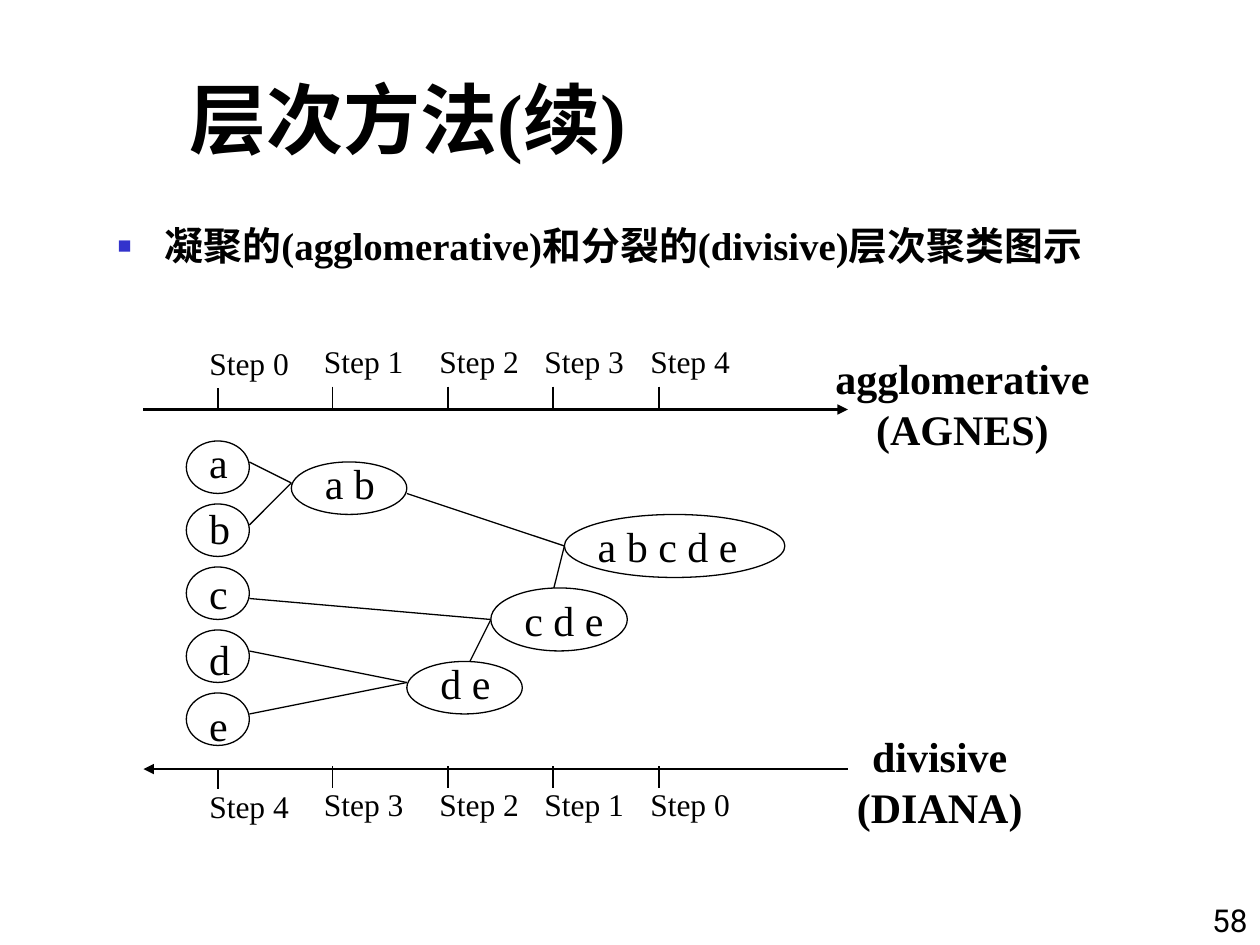
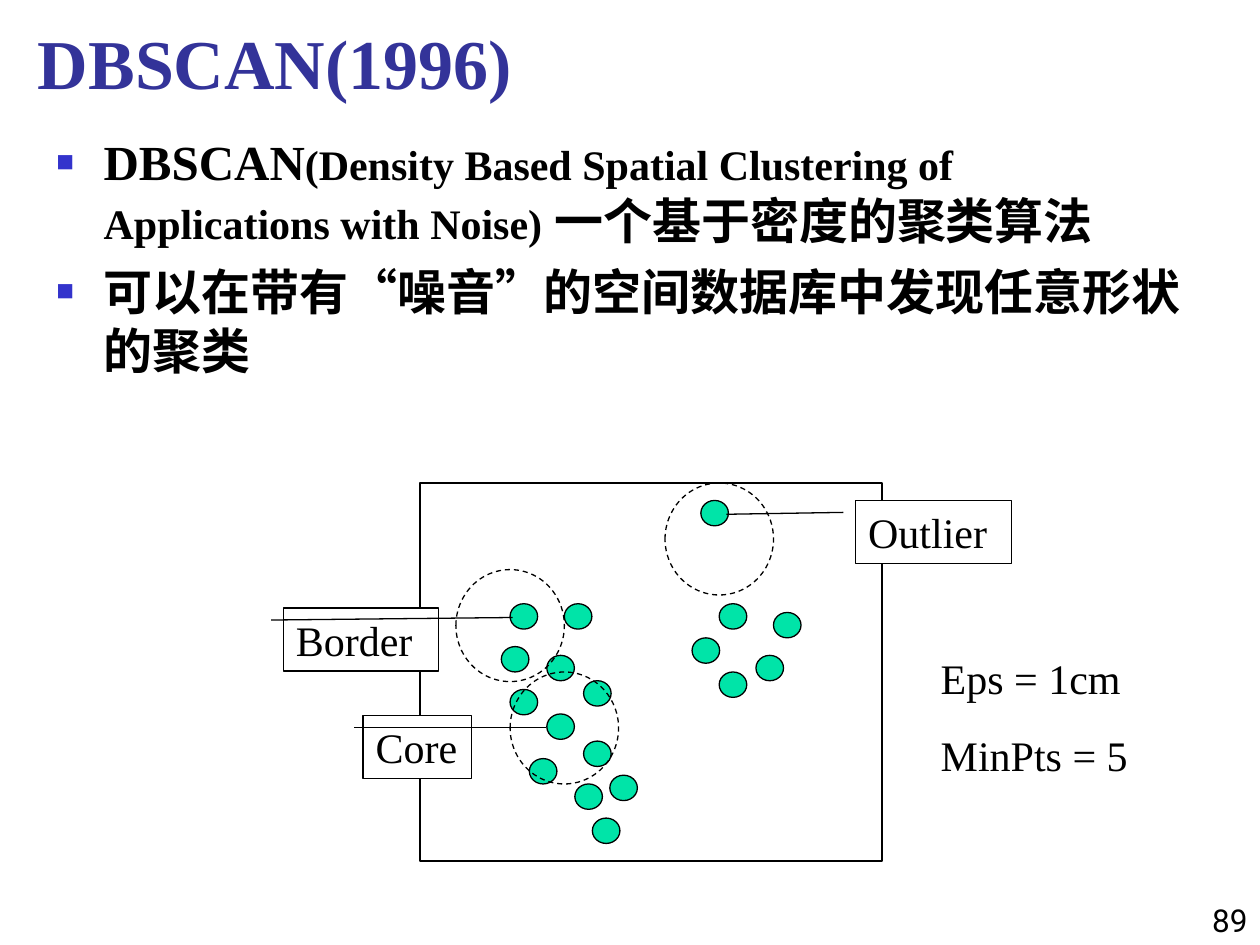
from dataclasses import dataclass
from typing import NamedTuple, Optional

from lxml.etree import SubElement
from pptx import Presentation
from pptx.dml.color import RGBColor
from pptx.enum.dml import MSO_LINE
from pptx.enum.shapes import MSO_CONNECTOR, MSO_SHAPE
from pptx.enum.text import MSO_ANCHOR as Anchor, MSO_AUTO_SIZE, PP_ALIGN as Align
from pptx.oxml.ns import qn
from pptx.util import Pt

SERIF, PAGE_FONT = "Times New Roman", "Roboto"
BLACK, WHITE, NAVY, BULLET_BLUE, GREEN = "000000", "FFFFFF", "333399", "3333CC", "00E4A8"
HANGING = 27


class Box(NamedTuple):
    left: float
    top: float
    width: float
    height: float

    def lengths(self) -> list:
        return [Pt(value) for value in self]


class Point(NamedTuple):
    x: float
    y: float


class Run(NamedTuple):
    text: str
    size: Optional[float] = None


@dataclass
class Cluster:
    label: str
    outline: Box
    label_at: Point
    label_width: float


@dataclass
class TimeAxis:
    y: float
    arrow_end: str
    tick_top: float
    label_top: float
    steps: range
    caption: list
    caption_box: Box


@dataclass
class Callout:
    label: str
    box: Box
    pointer: tuple


def color(hex_code: str) -> RGBColor:
    return RGBColor.from_string(hex_code)


def style_font(paragraph, size: float, bold: bool = False, ink: str = BLACK,
               font_name: str = SERIF) -> None:
    font = paragraph.font
    font.name, font.size, font.bold = font_name, Pt(size), bold
    font.color.rgb = color(ink)


def place(placeholder, box: Box, anchor: Anchor) -> None:
    placeholder.left, placeholder.top, placeholder.width, placeholder.height = box.lengths()
    frame = placeholder.text_frame
    frame.auto_size = MSO_AUTO_SIZE.NONE
    frame.vertical_anchor = anchor


def set_title(slide, text: str, box: Box, size: float, ink: str, anchor: Anchor) -> None:
    title = slide.shapes.title
    place(title, box, anchor)
    title.text_frame.text = text
    paragraph = title.text_frame.paragraphs[0]
    paragraph.alignment = Align.LEFT
    style_font(paragraph, size, True, ink)


def add_square_bullet(paragraph) -> None:
    properties = paragraph._p.get_or_add_pPr()
    properties.set("marL", str(Pt(HANGING)))
    properties.set("indent", str(-Pt(HANGING)))
    bullet_color = SubElement(properties, qn("a:buClr"))
    SubElement(bullet_color, qn("a:srgbClr"), val=BULLET_BLUE)
    SubElement(properties, qn("a:buSzPct"), val="60000")
    SubElement(properties, qn("a:buChar"), char="■")


def set_bullets(slide, items: list, box: Box, size: float, before: float,
                spacing: float) -> None:
    """Fill the body; each item is a list of runs, which may override the size."""
    body = slide.placeholders[1]
    place(body, box, Anchor.TOP)
    frame = body.text_frame
    for index, runs in enumerate(items):
        paragraph = frame.add_paragraph() if index else frame.paragraphs[0]
        paragraph.line_spacing = spacing
        paragraph.space_before = Pt(before)
        add_square_bullet(paragraph)
        style_font(paragraph, size, True)
        for part in runs:
            run = paragraph.add_run()
            run.text = part.text
            if part.size:
                run.font.size = Pt(part.size)


def add_label(slide, lines: list, box: Box, size: float = 24, bold: bool = False,
              align: Align = Align.LEFT, wrap: bool = False, gap: float = 0,
              anchor: Anchor = Anchor.TOP, font_name: str = SERIF) -> None:
    frame = slide.shapes.add_textbox(*box.lengths()).text_frame
    frame.word_wrap = wrap
    frame.vertical_anchor = anchor
    frame.text = "\n".join(lines)
    for paragraph in frame.paragraphs:
        paragraph.alignment = align
        paragraph.space_before = Pt(gap)
        style_font(paragraph, size, bold, font_name=font_name)


def add_page_number(slide, number: int) -> None:
    add_label(slide, [str(number)], Box(570, 510, 150, 30), 18, align=Align.RIGHT,
              wrap=True, anchor=Anchor.BOTTOM, font_name=PAGE_FONT)


def add_outline(slide, kind: MSO_SHAPE, box: Box, fill: Optional[str] = None,
                dashed: bool = False):
    shape = slide.shapes.add_shape(kind, *box.lengths())
    shape.shadow.inherit = False
    if fill:
        shape.fill.solid()
        shape.fill.fore_color.rgb = color(fill)
    else:
        shape.fill.background()
    shape.line.color.rgb = color(BLACK)
    shape.line.width = Pt(0.75)
    if dashed:
        shape.line.dash_style = MSO_LINE.DASH
    return shape


def add_line(slide, start: Point, end: Point, width: float = 0.75,
             arrow_end: Optional[str] = None) -> None:
    """Draw a line; arrow_end is headEnd (at start) or tailEnd (at end)."""
    line = slide.shapes.add_connector(MSO_CONNECTOR.STRAIGHT, *map(Pt, (*start, *end)))
    line.line.color.rgb = color(BLACK)
    line.line.width = Pt(width)
    properties = line._element.spPr
    if arrow_end:
        SubElement(properties.find(qn("a:ln")), qn(f"a:{arrow_end}"), type="triangle")
    SubElement(properties, qn("a:effectLst"))


TICKS = [124.5, 190, 256, 316, 376.5]
AXES = [
    TimeAxis(234, "tailEnd", 221, 192, range(5), ["agglomerative", "(AGNES)"],
             Box(468, 198, 164, 65)),
    TimeAxis(439.5, "headEnd", 438, 445, range(4, -1, -1), ["divisive", "(DIANA)"],
             Box(477, 414, 120, 65)),
]
SINGLE_CLUSTERS = [
    Cluster(name, Box(106.5, 252 + 36 * row, 36, 30), Point(112.5, 246 + 37.5 * row), 25.5)
    for row, name in enumerate("abcde")
]
MERGED_CLUSTERS = [
    Cluster("a b", Box(166.5, 264, 66, 30), Point(178.5, 258), 43),
    Cluster("d e", Box(232.5, 378, 66, 30), Point(244.5, 372), 43),
    Cluster("c d e", Box(280.5, 336, 78, 36), Point(292.5, 336), 60),
    Cluster("a b c d e", Box(322.5, 294, 126, 36), Point(334.5, 294), 94.5),
]
INTO_AB, INTO_DE = Point(166.5, 276), Point(232.5, 390)
INTO_CDE, INTO_ABCDE = Point(280.5, 354), Point(322.5, 312)
MERGES = [
    (Point(142.5, 264), INTO_AB), (Point(142.5, 300), INTO_AB),
    (Point(142.5, 372), INTO_DE), (Point(142.5, 408), INTO_DE),
    (Point(142.5, 342), INTO_CDE), (Point(268.5, 378), INTO_CDE),
    (Point(232.5, 282), INTO_ABCDE), (Point(316.5, 336), INTO_ABCDE),
]


def add_time_axis(slide, axis: TimeAxis) -> None:
    add_line(slide, Point(82, axis.y), Point(484.5, axis.y), 1.5, axis.arrow_end)
    for index, (x, step) in enumerate(zip(TICKS, axis.steps)):
        drop = 0 if index else 1
        top = axis.tick_top + drop
        add_line(slide, Point(x, top), Point(x, top + 12))
        add_label(slide, [f"Step {step}"], Box(x - 12, axis.label_top + drop, 60, 29), 18,
                  wrap=True)
    add_label(slide, axis.caption, axis.caption_box, bold=True, align=Align.CENTER)


def build_hierarchy(slide) -> None:
    set_title(slide, "层次方法(续)", Box(101, 36, 574.5, 62), 44, BLACK, Anchor.MIDDLE)
    set_bullets(slide, [[Run("凝聚的(agglomerative)和分裂的(divisive)层次聚类图示")]],
                Box(60, 126, 624, 42), 22.2, 15, 0.9)
    for axis in AXES:
        add_time_axis(slide, axis)
    for cluster in SINGLE_CLUSTERS + MERGED_CLUSTERS:
        add_label(slide, [cluster.label], Box(*cluster.label_at, cluster.label_width, 36))
        add_outline(slide, MSO_SHAPE.OVAL, cluster.outline)
    for start, end in MERGES:
        add_line(slide, start, end)
    add_page_number(slide, 58)


SAMPLES = [
    Point(291.5, 345), Point(286.5, 369.5), Point(312.5, 374.5), Point(322.5, 345),
    Point(333.5, 389), Point(291.5, 394), Point(312.5, 408), Point(302.5, 433.5),
    Point(328.5, 448), Point(338.5, 467.5), Point(333.5, 423.5), Point(348.5, 443),
    Point(400.5, 286), Point(411, 345), Point(395.5, 364.5), Point(432, 374.5),
    Point(442, 350), Point(411, 384),
]
NEIGHBOURHOODS = [Point(260.5, 325.5), Point(291.5, 384), Point(380, 276)]
CALLOUTS = [
    Callout("Core", Box(207.5, 409, 62, 36), (0.19, -0.08, 0.19, 1.69)),
    Callout("Border", Box(162, 347.5, 88.5, 36), (0.19, -0.08, 0.15, 1.48)),
    Callout("Outlier", Box(489, 286, 89, 36), (0.19, -0.08, 0.22, -0.83)),
]


def add_callout(slide, callout: Callout) -> None:
    shape = add_outline(slide, MSO_SHAPE.LINE_CALLOUT_1, callout.box, WHITE)
    for index, value in enumerate(callout.pointer):
        shape.adjustments[index] = value
    frame = shape.text_frame
    frame.vertical_anchor = Anchor.TOP
    frame.text = callout.label
    frame.paragraphs[0].alignment = Align.LEFT
    style_font(frame.paragraphs[0], 24)


def build_dbscan(slide) -> None:
    set_title(slide, "DBSCAN(1996)", Box(14.5, 15, 606, 47.5), 40, NAVY, Anchor.BOTTOM)
    definition = [
        Run("DBSCAN"),
        Run("(Density Based Spatial Clustering of Applications with Noise)", 24),
        Run(" 一个基于密度的聚类算法"),
    ]
    strength = [Run("可以在带有“噪音”的空间数据库中发现任意形状的聚类")]
    set_bullets(slide, [definition, strength], Box(25, 71.5, 659, 169), 28, 7, 1.0)
    for sample in SAMPLES:
        add_outline(slide, MSO_SHAPE.OVAL, Box(*sample, 15.75, 14.5), GREEN)
    add_outline(slide, MSO_SHAPE.RECTANGLE, Box(240, 276, 264, 216))
    for corner in NEIGHBOURHOODS:
        add_outline(slide, MSO_SHAPE.OVAL, Box(*corner, 62, 64), dashed=True)
    for callout in CALLOUTS:
        add_callout(slide, callout)
    add_label(slide, ["Eps = 1cm", "MinPts = 5"], Box(530.5, 369.5, 129.5, 80), wrap=True,
              gap=15)
    add_page_number(slide, 89)


def main() -> None:
    deck = Presentation()
    deck.slide_width, deck.slide_height = Pt(720), Pt(540)
    for build in (build_hierarchy, build_dbscan):
        build(deck.slides.add_slide(deck.slide_layouts[1]))
    deck.save("out.pptx")


if __name__ == "__main__":
    main()
